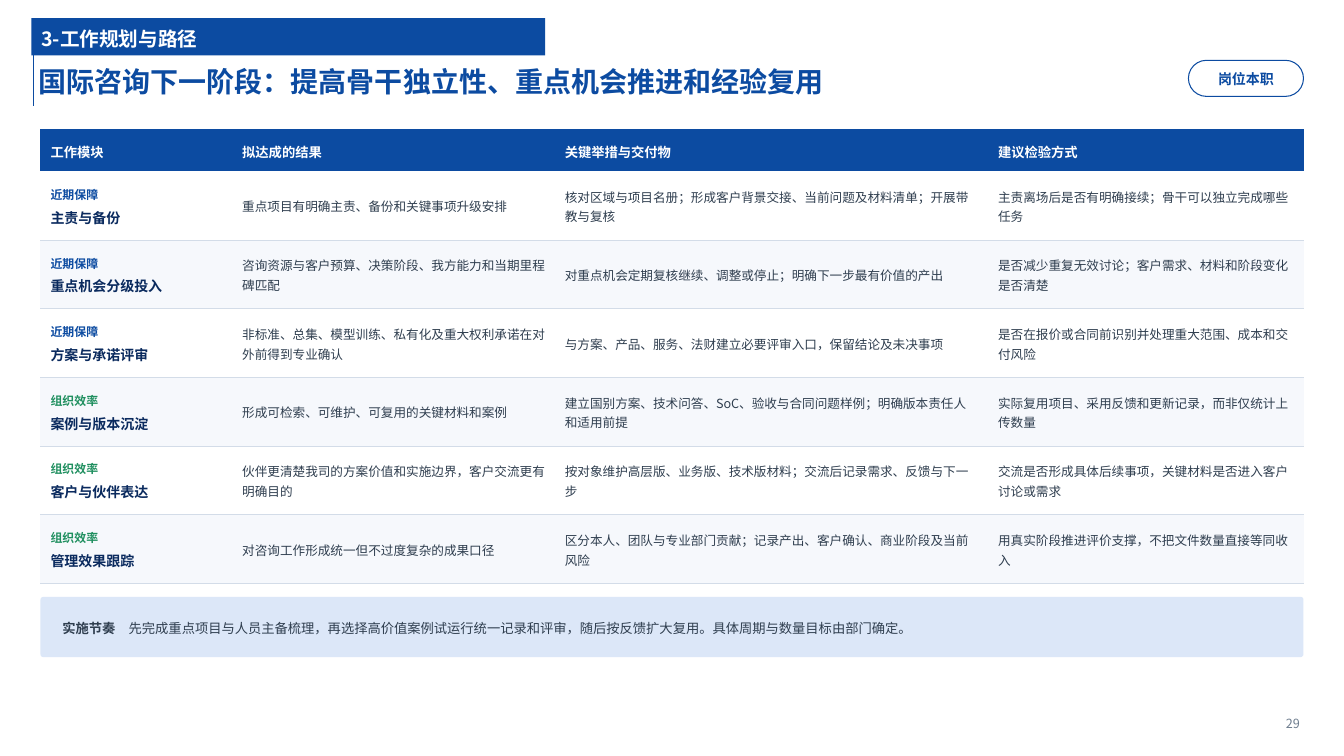
from pptx import Presentation
from pptx import util as u
from pptx.dml import color as c
from pptx.enum import shapes, text
from pptx.oxml import ns, parse_xml

Cm, Pt, RGB = u.Cm, u.Pt, c.RGBColor.from_string

theme = {
    "font": "Noto Sans CJK SC",
    "blue": "0C4BA1", "white": "FFFFFF", "stripe": "F6F8FC",
    "pale": "DCE7F8", "rule": "D3DCE8",
    "title": (20, "0C4BA1", True),
    "section": (14, "FFFFFF", True),
    "badge": (10, "0C4BA1", True),
    "number": (9, "6F7E8F", False),
    "head": (9.5, "FFFFFF", True),
    "近期保障": (8.5, "0C4BA1", True),
    "组织效率": (8.5, "1F8F5F", True),
    "module": (10, "0A2A5E", True),
    "body": (9, "2F3E4F", False),
    "note_head": (9.5, "2F3E4F", True),
    "note": (9.5, "2F3E4F", False),
}


def write(frame, lines, align=text.PP_ALIGN.LEFT, spacing=1.12, after=0):
    for number, spans in enumerate(lines):
        para = frame.paragraphs[0] if number == 0 else frame.add_paragraph()
        layout = {"alignment": align, "line_spacing": spacing,
                  "space_before": Pt(0), "space_after": Pt(after)}
        for name, value in layout.items():
            setattr(para, name, value)
        for words, style in spans:
            span = para.add_run()
            span.text = words
            size, color, bold = theme[style]
            for name, value in {"size": Pt(size), "bold": bold, "name": theme["font"]}.items():
                setattr(span.font, name, value)
            span.font.color.rgb = RGB(color)
            east = span.font._element.makeelement(ns.qn("a:ea"), {"typeface": theme["font"]})
            span.font._element.find(ns.qn("a:latin")).addnext(east)


def setup(frame, left=0, top=0, right=0, bottom=0):
    values = {"word_wrap": True, "auto_size": text.MSO_AUTO_SIZE.NONE,
              "vertical_anchor": text.MSO_ANCHOR.MIDDLE,
              "margin_left": Cm(left), "margin_top": Cm(top),
              "margin_right": Cm(right), "margin_bottom": Cm(bottom)}
    for name, value in values.items():
        setattr(frame, name, value)


deck = Presentation()
deck.slide_width, deck.slide_height = Cm(33.87), Cm(19.05)
page = deck.slides.add_slide(deck.slide_layouts[5])

title = page.shapes.title
place = {"left": 0.84, "top": 1.35, "width": 29.21, "height": 1.32}
for name, value in place.items():
    setattr(title, name, Cm(value))
setup(title.text_frame, left=0.13, right=0.13)
write(title.text_frame, [[("国际咨询下一阶段：提高骨干独立性、重点机会推进和经验复用", "title")]])

rule = page.shapes.add_connector(shapes.MSO_CONNECTOR.STRAIGHT, Cm(0.84), Cm(0.61), Cm(0.84), Cm(2.67))
rule.line.color.rgb = RGB(theme["blue"])
rule.line.width = Pt(1)
properties = rule._element.spPr
properties.append(properties.makeelement(ns.qn("a:effectLst"), {}))

RECT, ROUND = shapes.MSO_SHAPE.RECTANGLE, shapes.MSO_SHAPE.ROUNDED_RECTANGLE
CENTER, LEFT = text.PP_ALIGN.CENTER, text.PP_ALIGN.LEFT
panels = [
    (RECT, None, (0.79, 0.46, 12.95, 0.94), "blue", None, (0.25, 0, 0.13, 0), LEFT,
     [("3-工作规划与路径", "section")]),
    (ROUND, 0.5, (29.95, 1.52, 2.9, 0.91), "white", "blue", (0.1, 0, 0.1, 0), CENTER,
     [("岗位本职", "badge")]),
    (ROUND, 0.05, (1.02, 15.04, 31.83, 1.52), "pale", None, (0.53, 0.1, 0.53, 0.1), LEFT,
     [("实施节奏", "note_head"),
      ("　先完成重点项目与人员主备梳理，再选择高价值案例试运行统一记录和评审，"
       "随后按反馈扩大复用。具体周期与数量目标由部门确定。", "note")]),
]
for kind, corner, area, fill, outline, insets, align, spans in panels:
    box = page.shapes.add_shape(kind, *map(Cm, area))
    box.shadow.inherit = False
    box.fill.solid()
    box.fill.fore_color.rgb = RGB(theme[fill])
    if corner is not None:
        box.adjustments[0] = corner
    if outline:
        box.line.color.rgb = RGB(theme[outline])
        box.line.width = Pt(0.75)
    else:
        box.line.fill.background()
    setup(box.text_frame, *insets)
    write(box.text_frame, [spans], align)

headings = ["工作模块", "拟达成的结果", "关键举措与交付物", "建议检验方式"]
plans = [
    ("近期保障", "主责与备份", "重点项目有明确主责、备份和关键事项升级安排",
     "核对区域与项目名册；形成客户背景交接、当前问题及材料清单；开展带教与复核",
     "主责离场后是否有明确接续；骨干可以独立完成哪些任务"),
    ("近期保障", "重点机会分级投入", "咨询资源与客户预算、决策阶段、我方能力和当期里程碑匹配",
     "对重点机会定期复核继续、调整或停止；明确下一步最有价值的产出",
     "是否减少重复无效讨论；客户需求、材料和阶段变化是否清楚"),
    ("近期保障", "方案与承诺评审", "非标准、总集、模型训练、私有化及重大权利承诺在对外前得到专业确认",
     "与方案、产品、服务、法财建立必要评审入口，保留结论及未决事项",
     "是否在报价或合同前识别并处理重大范围、成本和交付风险"),
    ("组织效率", "案例与版本沉淀", "形成可检索、可维护、可复用的关键材料和案例",
     "建立国别方案、技术问答、SoC、验收与合同问题样例；明确版本责任人和适用前提",
     "实际复用项目、采用反馈和更新记录，而非仅统计上传数量"),
    ("组织效率", "客户与伙伴表达", "伙伴更清楚我司的方案价值和实施边界，客户交流更有明确目的",
     "按对象维护高层版、业务版、技术版材料；交流后记录需求、反馈与下一步",
     "交流是否形成具体后续事项，关键材料是否进入客户讨论或需求"),
    ("组织效率", "管理效果跟踪", "对咨询工作形成统一但不过度复杂的成果口径",
     "区分本人、团队与专业部门贡献；记录产出、客户确认、商业阶段及当前风险",
     "用真实阶段推进评价支撑，不把文件数量直接等同收入"),
]
widths = [4.83, 8.13, 10.92, 7.95]
heights = [1.07] + [1.73] * len(plans)
table = page.shapes.add_table(len(heights), len(widths), Cm(1.02), Cm(3.25),
                              Cm(sum(widths)), Cm(sum(heights))).table
table.horz_banding = False
table._tbl.tblPr[0].text = "{2D5ABB26-0587-4C30-8999-92F81FD0307C}"
for column, width in zip(table.columns, widths):
    column.width = Cm(width)
for row, height in zip(table.rows, heights):
    row.height = Cm(height)

grid = [[[[(heading, "head")]] for heading in headings]]
for group, module, *details in plans:
    grid.append([[[(group, group)], [(module, "module")]]]
                + [[[(detail, "body")]] for detail in details])
for row, contents in enumerate(grid):
    fill = "blue" if row == 0 else "white" if row % 2 else "stripe"
    for column, lines in enumerate(contents):
        cell = table.cell(row, column)
        cell.vertical_anchor = text.MSO_ANCHOR.MIDDLE
        cell.fill.solid()
        cell.fill.fore_color.rgb = RGB(theme[fill])
        if row == 0:
            write(cell.text_frame, lines)
        else:
            write(cell.text_frame, lines, spacing=1.08, after=2)
            border = parse_xml(f'<a:lnB {ns.nsdecls("a")} w="9525"><a:solidFill>'
                               f'<a:srgbClr val="{theme["rule"]}"/></a:solidFill></a:lnB>')
            cell._tc.get_or_add_tcPr().insert(0, border)

number = page.shapes.add_textbox(Cm(30.48), Cm(17.83), Cm(2.41), Cm(0.76))
setup(number.text_frame, right=0.13)
write(number.text_frame, [[("29", "number")]], text.PP_ALIGN.RIGHT)

deck.save("out.pptx")
